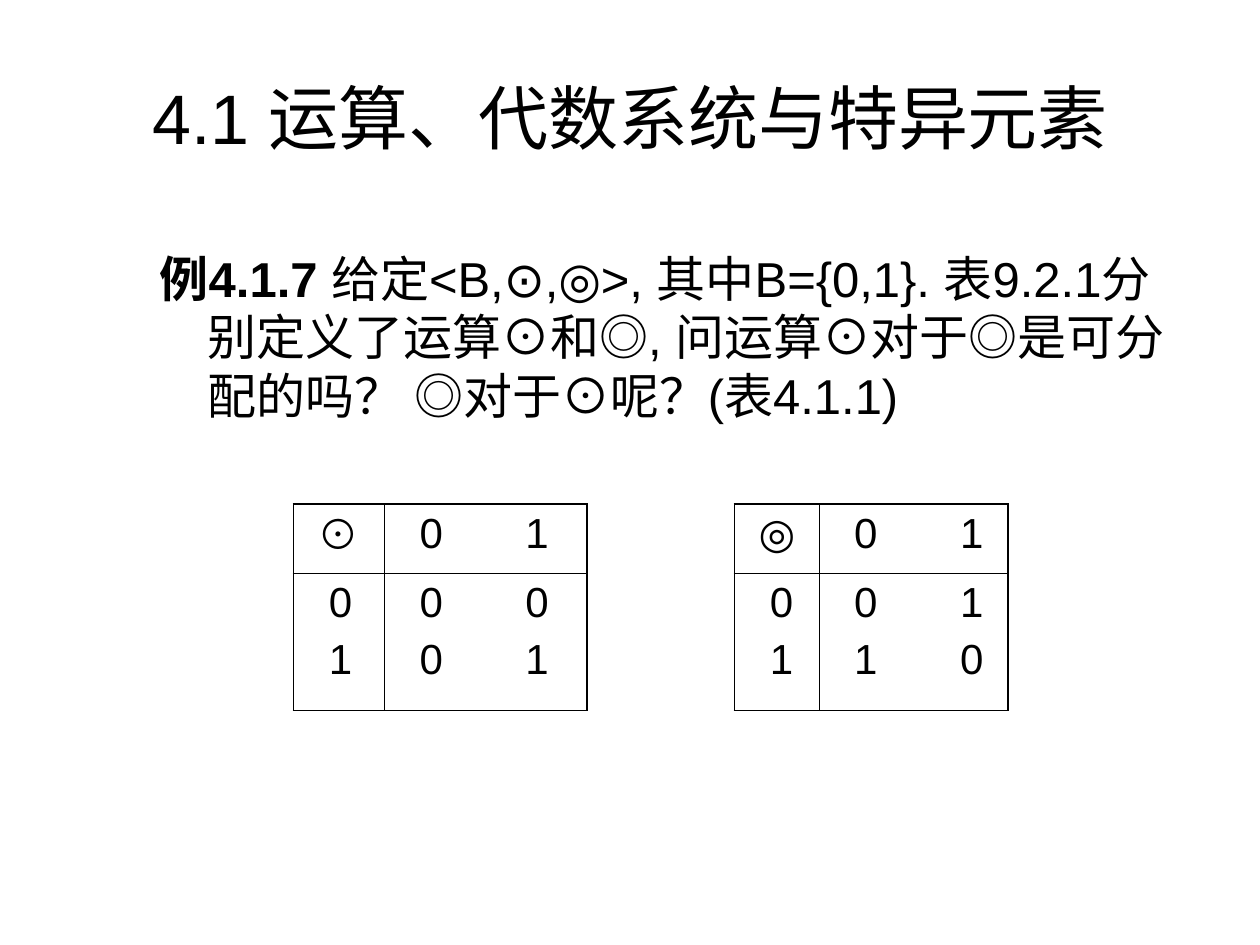
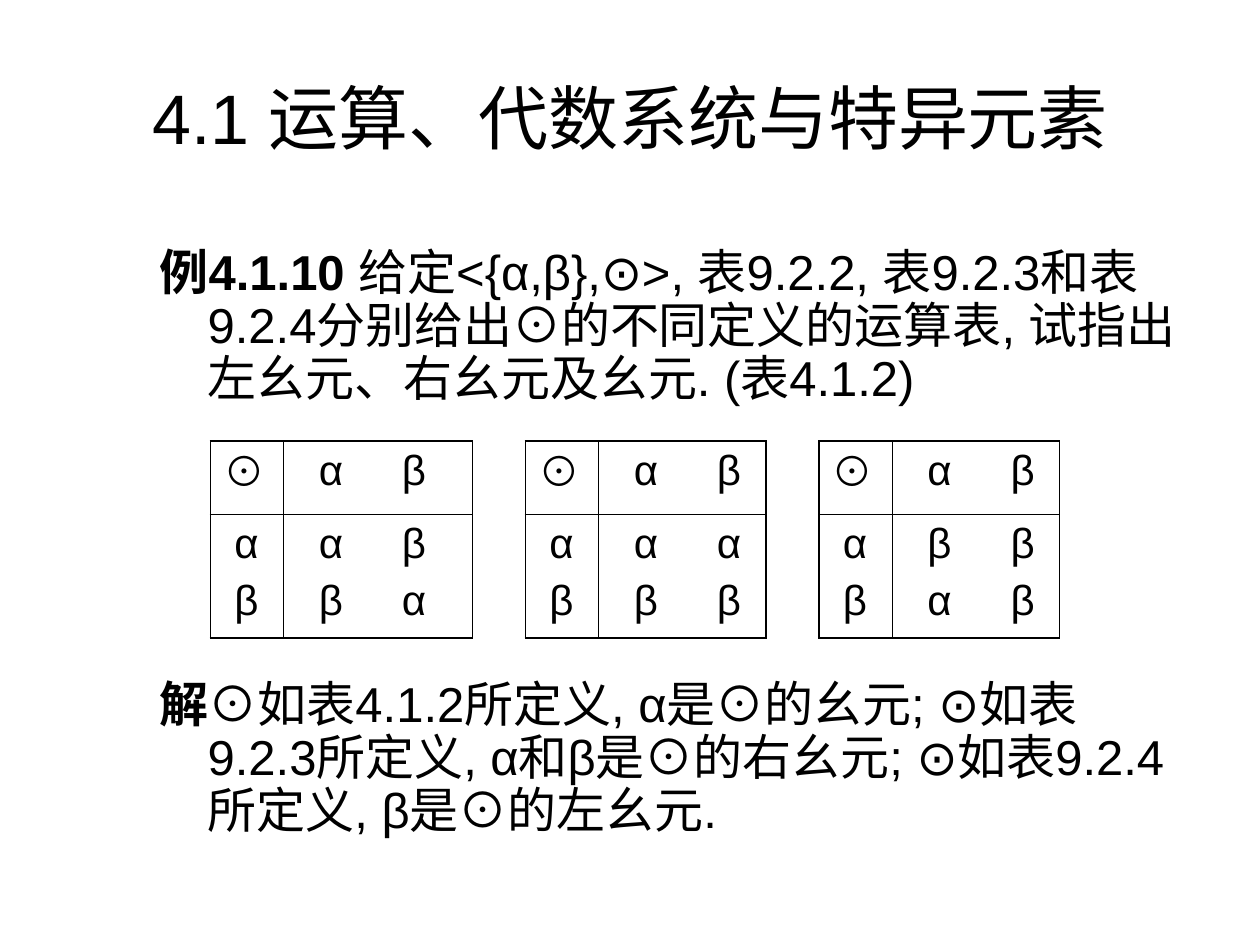
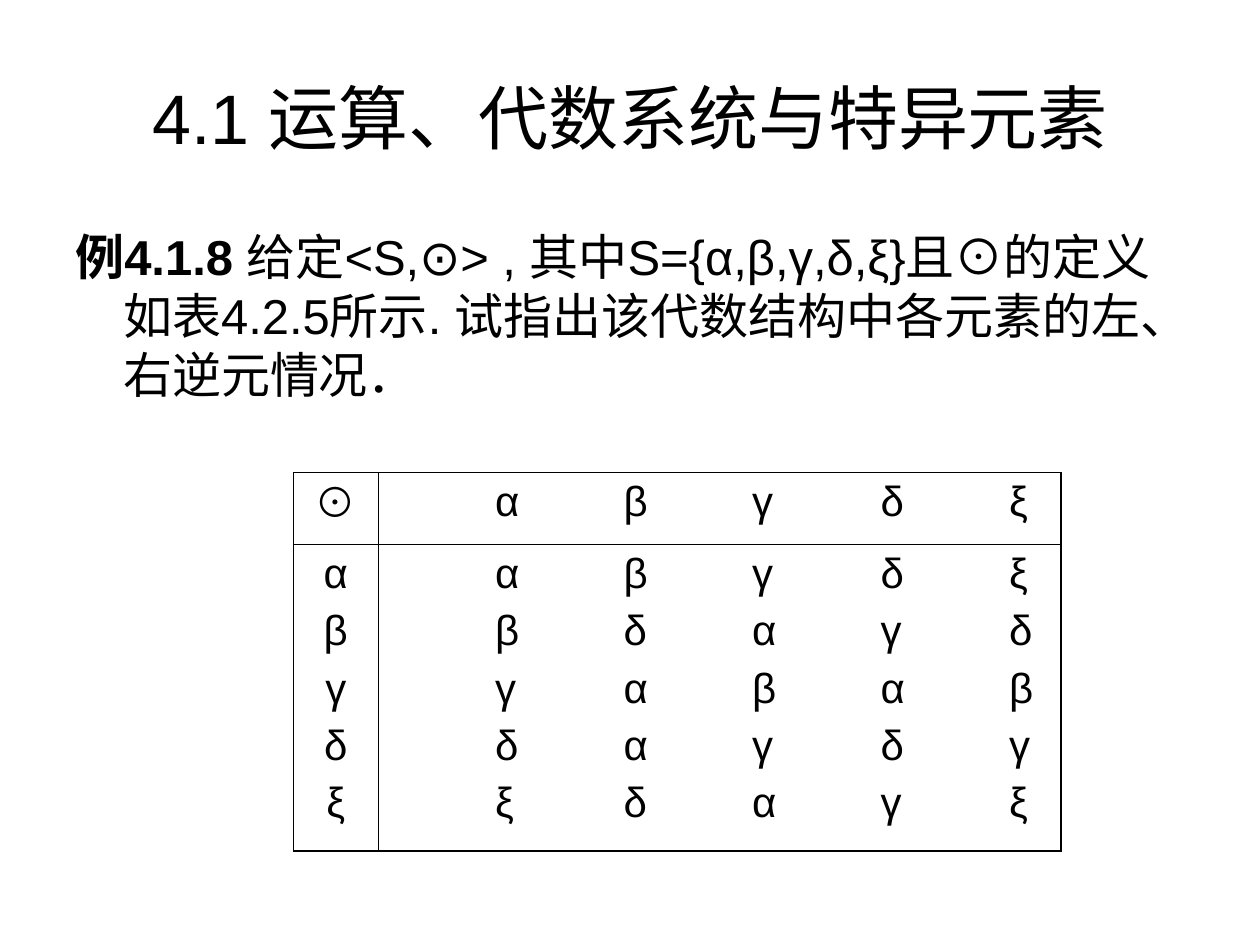
from pptx import Presentation
from pptx.dml.color import RGBColor as RGB
from pptx.enum.text import MSO_ANCHOR as Anchor, PP_ALIGN as Align
from pptx.oxml.ns import qn
from pptx.util import Inches, Pt
from lxml.etree import SubElement as Sub

INK = {"text": "000000", "paper": "FFFFFF"}
FONT = "Arial"
TITLE = "4.1 运算、代数系统与特异元素"
OUTER, INNER = 1.08, 0.45


def style(para, size):
    for run in para.runs:
        run.font.name = FONT
        run.font.size = Pt(size)
        run.font.color.rgb = RGB.from_string(INK["text"])


def fill_cell(cell, lines, stops, edges):
    # Text rows, aligned on tab stops or centred when there are none
    frame = cell.text_frame
    frame.text = "\n".join(lines)
    for i, para in enumerate(frame.paragraphs):
        para.space_before = Pt(6 if i else 0)
        if stops:
            tabs = Sub(para._p.get_or_add_pPr(), qn("a:tabLst"))
            for stop in stops:
                Sub(tabs, qn("a:tab"), pos=str(Inches(stop)), algn="l")
        else:
            para.alignment = Align.CENTER
        style(para, 24)
    # Borders, then fill
    props = cell._tc.get_or_add_tcPr()
    for side, width in zip("LRTB", edges):
        line = Sub(props, qn("a:ln" + side), w=str(Pt(width)))
        Sub(Sub(line, qn("a:solidFill")), qn("a:srgbClr"), val=INK["text"])
    cell.fill.solid()
    cell.fill.fore_color.rgb = RGB.from_string(INK["paper"])


# Body: box, line spacing, paragraphs as (space before, bold lead, rest)
# Tables: left, column widths, operator, elements, result rows
# Stops: operator, row label, first result, step between results
SLIDES = [
    {
        "box": (1.17, 1.92, 8.42, 5.17), "spacing": 1,
        "body": [(0, "例4.1.7 ", "给定<B,⊙,◎>, 其中B={0,1}. 表9.2.1分别定义了运算⊙和◎, "
                  "问运算⊙对于◎是可分配的吗？ ◎对于⊙呢？(表4.1.1)")],
        "top": 4, "rows": (0.55, 1.09), "stops": (0.09, 0.18, 0.18, 0.84),
        "tables": [
            (2.33, (0.72, 1.61), "⊙", "01", ["00", "01"]),
            (5.83, (0.67, 1.5), "◎", "01", ["01", "10"]),
        ],
    },
    {
        "box": (1.17, 1.92, 8.33, 4.92), "spacing": 0.9,
        "body": [(0, "例4.1.10 ", "给定<{α,β},⊙>, 表9.2.2, 表9.2.3和表9.2.4分别给出⊙的"
                  "不同定义的运算表, 试指出左幺元、右幺元及幺元. (表4.1.2)"),
                 (156, "解", "⊙如表4.1.2所定义, α是⊙的幺元; ⊙如表9.2.3所定义, "
                  "α和β是⊙的右幺元; ⊙如表9.2.4所定义, β是⊙的左幺元.")],
        "top": 3.5, "rows": (0.58, 0.98), "stops": (0, 0.09, 0.18, 0.66),
        "tables": [
            (1.67, (0.58, 1.5), "⊙", "αβ", ["αβ", "βα"]),
            (4.17, (0.58, 1.33), "⊙", "αβ", ["αα", "ββ"]),
            (6.5, (0.58, 1.33), "⊙", "αβ", ["ββ", "αβ"]),
        ],
    },
    {
        "box": (0.5, 1.75, 9, 4.95), "spacing": 1,
        "body": [(0, "例4.1.8 ", "给定<S,⊙> , 其中S={α,β,γ,δ,ξ}且⊙的定义如表4.2.5所示. "
                  "试指出该代数结构中各元素的左、右逆元情况．")],
        "top": 3.75, "rows": (0.57, 2.43), "stops": (0, 0, 0.83, 1.02),
        "tables": [
            (2.33, (0.67, 5.42), "⊙", "αβγδξ",
             ["αβγδξ", "βδαγδ", "γαβαβ", "δαγδγ", "ξδαγξ"]),
        ],
    },
]

deck = Presentation()
deck.slide_width, deck.slide_height = Inches(10), Inches(7.5)

for data in SLIDES:
    slide = deck.slides.add_slide(deck.slide_layouts[5])

    # Title
    title = slide.shapes.title
    title.left, title.top = Inches(0.5), Inches(0.3)
    title.width, title.height = Inches(9), Inches(1.25)
    title.text_frame.text = TITLE
    title.text_frame.vertical_anchor = Anchor.MIDDLE
    para = title.text_frame.paragraphs[0]
    para.alignment = Align.CENTER
    style(para, 40)

    # Body with hanging indent
    frame = slide.shapes.add_textbox(*map(Inches, data["box"])).text_frame
    frame.word_wrap = True
    for i, (space, lead, rest) in enumerate(data["body"]):
        para = frame.add_paragraph() if i else frame.paragraphs[0]
        props = para._p.get_or_add_pPr()
        props.set("marL", str(Inches(0.38)))
        props.set("indent", str(-Inches(0.38)))
        para.line_spacing = data["spacing"]
        para.space_before = Pt(space)
        for text, bold in ((lead, True), (rest, False)):
            run = para.add_run()
            run.text = text
            run.font.bold = bold
        style(para, 28)

    # Operation tables
    sign, label, first, step = data["stops"]
    for left, widths, mark, items, results in data["tables"]:
        table = slide.shapes.add_table(
            2, 2, Inches(left), Inches(data["top"]),
            Inches(sum(widths)), Inches(sum(data["rows"]))).table
        table.first_row = table.horz_banding = False
        for i in range(2):
            table.columns[i].width = Inches(widths[i])
            table.rows[i].height = Inches(data["rows"][i])

        grid = [first + step * i for i in range(len(items))]
        heads = [[mark], list(items)]
        for r, rows in enumerate(([items], results)):
            stop = (sign, label)[r]
            lead = "\t" if stop else ""
            edges = (INNER, OUTER) if r else (OUTER, INNER)
            fill_cell(table.cell(r, 0), [lead + text for text in heads[r]],
                      [stop] if label else [], (OUTER, INNER) + edges)
            fill_cell(table.cell(r, 1), ["\t" + "\t".join(row) for row in rows],
                      grid, (INNER, OUTER) + edges)

deck.save("out.pptx")
